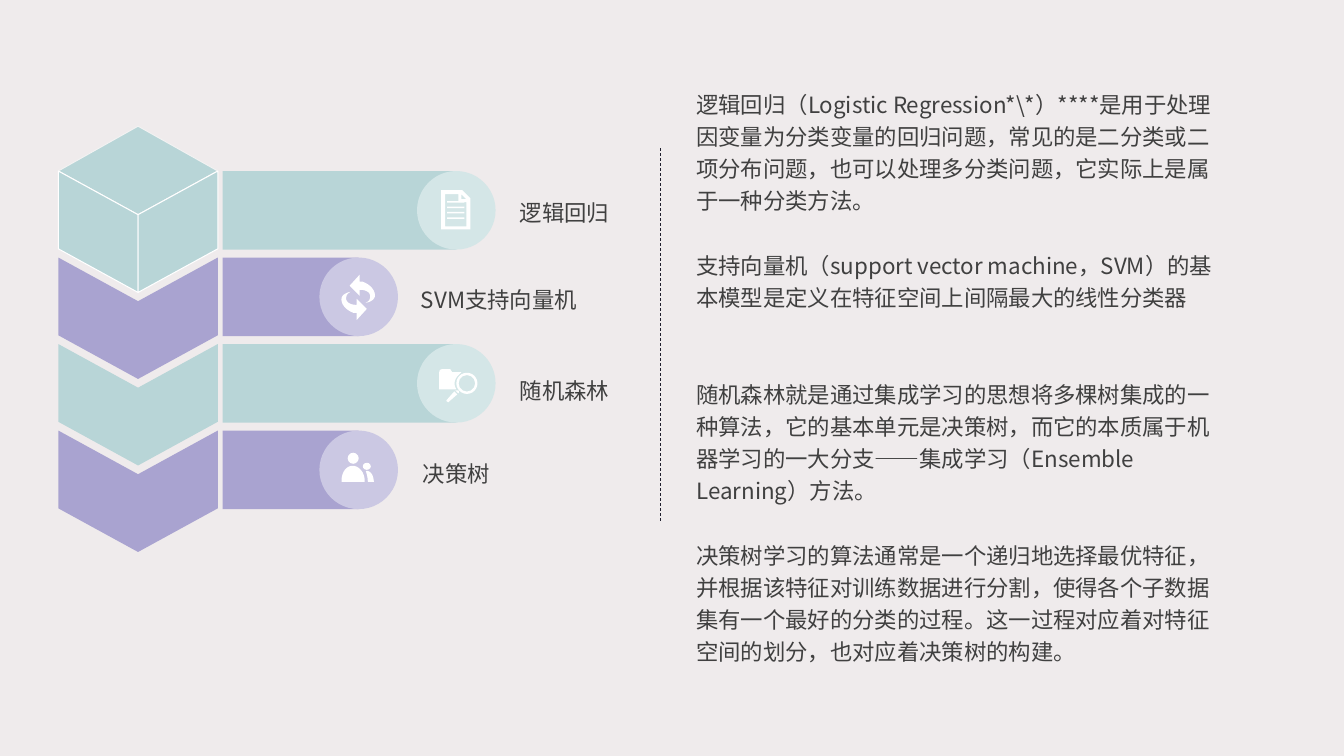
import lxml.etree
import pptx
import pptx.dml.color
import pptx.enum.dml
import pptx.enum.shapes
import pptx.enum.text
import pptx.oxml.ns
import pptx.util

Cm = pptx.util.Cm
Pt = pptx.util.Pt
SHAPES = pptx.enum.shapes.MSO_SHAPE

FONT = "Noto Sans CJK SC"
COLORS = {
    "background": "EFEBEC", "teal": "B8D5D7", "pale teal": "D4E6E7",
    "violet": "A9A3D0", "pale violet": "CBC8E3", "white": "FFFFFF",
    "edge": "F2F2F2", "text": "404040", "divider": "20202E",
}
ROWS = [
    ("逻辑回归", "teal", 5.89, "document", (12.85, 4.75, 2.77)),
    ("SVM支持向量机", "violet", 3.43, "refresh", (10.36, 6.96, 4.6)),
    ("随机森林", "teal", 5.89, "search", (12.85, 9.25, 2.77)),
    ("决策树", "violet", 3.43, "people", (10.41, 11.33, 2.21)),
]
PARAGRAPHS = [
    ("逻辑回归（Logistic Regression*\\*）****是用于处理因变量为分类变量的回归问题，常见的是二分类或二项分布问题，也可以处理多分类问题，它实际上是属于一种分类方法。", 0),
    ("支持向量机（support vector machine，SVM）的基本模型是定义在特征空间上间隔最大的线性分类器", 23),
    ("随机森林就是通过集成学习的思想将多棵树集成的一种算法，它的基本单元是决策树，而它的本质属于机器学习的一大分支——集成学习（Ensemble Learning）方法。", 46),
    ("决策树学习的算法通常是一个递归地选择最优特征，并根据该特征对训练数据进行分割，使得各个子数据集有一个最好的分类的过程。这一过程对应着对特征空间的划分，也对应着决策树的构建。", 23),
]
REFRESH_ARROW = [
    (4, -15), (1, -15), (1, -22), (-9, -11), (1, -1), (1, -7),
    (9, -7, 13, -3, 11, 2), (11, 3, 9, 5, 7, 6),
    (12, 5, 15, 3, 16, 0), (17, -6, 12, -12, 4, -15),
]
TURNED_ARROW = [
    tuple((1 if index % 2 else -1) - value for index, value in enumerate(step))
    for step in REFRESH_ARROW
]
ICON_OUTLINES = {
    "document": [[
        [(14, -12), (6, -20), (-15, -20), (-15, 19), (14, 19)],
        [(10, -11), (5, -11), (5, -16)],
        [(10, 16), (-11, 16), (-11, -16), (2, -16), (2, -8), (10, -8)],
    ]],
    "refresh": [[REFRESH_ARROW], [TURNED_ARROW]],
    "search": [
        [[(2, -8), (3, -9, 4, -10, 5, -11), (-4, -11), (-6, -14), (-13, -14),
          (-15, -14, -17, -14, -17, -10), (-17, 6), (0, 6), (-3, 1, -2, -4, 2, -8)]],
        [[(2, 7), (-1, 7), (2, 10), (3, 9, 3, 8, 2, 7)],
         [(-9, 16), (-10, 17, -10, 18, -9, 18), (-9, 19, -7, 19, -7, 18),
          (1, 11), (-2, 8)]],
    ],
    "people": [
        [[(-6, -4), (-12, -4, -17, 2, -17, 11), (-17, 12), (6, 12), (6, 11),
          (6, 2, 0, -4, -6, -4)]],
        [[(8, 1), (7, 1), (8, 4, 9, 8, 9, 11), (9, 12), (15, 12),
          (15, 6, 12, 1, 8, 1)]],
    ],
}
ICON_PRESETS = {
    "document": [(SHAPES.RECTANGLE, -9, -9 + 5.33 * line, 17, 1.5) for line in range(4)],
    "refresh": [],
    "search": [(SHAPES.DONUT, 0, -10.5, 21, 21)],
    "people": [(SHAPES.OVAL, -11, -17, 11, 11), (SHAPES.OVAL, 4, -7, 8, 7)],
}
ICON_UNIT = 2.54 / 100
ROW_TOP, ROW_PITCH, BAR_LEFT, BAR_HEIGHT = 4.31, 2.18, 5.61, 1.98
CUBE_LEFT, CUBE_MIDDLE, CUBE_RIGHT = 1.47, 3.48, 5.49
CUBE_PEAK, CUBE_DROP, FACE_HEIGHT = 3.18, 1.1, 1.96


def rgb(name):
    return pptx.dml.color.RGBColor.from_string(COLORS[name])


def paint(shape, fill, line=None):
    shape.shadow.inherit = False
    shape.fill.solid()
    shape.fill.fore_color.rgb = rgb(fill)
    if line:
        shape.line.color.rgb = rgb(line)
        shape.line.width = Pt(0.75)
    else:
        shape.line.fill.background()


def add_preset(slide, kind, left, top, width, height, fill):
    shape = slide.shapes.add_shape(kind, Cm(left), Cm(top), Cm(width), Cm(height))
    paint(shape, fill)
    return shape


def flatten(contour):
    points = [contour[0]]
    for step in contour[1:]:
        if len(step) == 2:
            points.append(step)
            continue
        controls = [points[-1], step[:2], step[2:4], step[4:]]
        for part in range(1, 9):
            t = part / 8
            weights = ((1 - t) ** 3, 3 * t * (1 - t) ** 2, 3 * t * t * (1 - t), t ** 3)
            points.append(tuple(
                sum(weight * control[axis] for weight, control in zip(weights, controls))
                for axis in (0, 1)))
    return points


def add_outline(slide, contours, fill, line=None, center=(0, 0), unit=1):
    builder = None
    for contour in contours:
        points = [(Cm(center[0] + x * unit), Cm(center[1] + y * unit))
                  for x, y in flatten(contour)]
        if builder is None:
            builder = slide.shapes.build_freeform(*points[0])
        else:
            builder.move_to(*points[0])
        builder.add_line_segments(points[1:], close=True)
    paint(builder.convert_to_shape(), fill, line)


def add_text(slide, box, paragraphs, wrap):
    frame = slide.shapes.add_textbox(*map(Cm, box)).text_frame
    frame.word_wrap = wrap
    frame.auto_size = pptx.enum.text.MSO_AUTO_SIZE.SHAPE_TO_FIT_TEXT
    if wrap:
        frame.margin_left = 0
    frame.text = "\n".join(text for text, gap in paragraphs)
    for paragraph, (text, gap) in zip(frame.paragraphs, paragraphs):
        paragraph.line_spacing = 1.2
        paragraph.space_before = Pt(gap)
        for run in paragraph.runs:
            run.font.size = Pt(16)
            run.font.color.rgb = rgb("text")
            run.font.name = FONT
            east_asian = lxml.etree.SubElement(
                run._r.get_or_add_rPr(), pptx.oxml.ns.qn("a:ea"))
            east_asian.set("typeface", FONT)


def add_icon(slide, icon, center):
    for contours in ICON_OUTLINES[icon]:
        add_outline(slide, contours, "white", center=center, unit=ICON_UNIT)
    for kind, left, top, width, height in ICON_PRESETS[icon]:
        shape = add_preset(
            slide, kind, center[0] + left * ICON_UNIT, center[1] + top * ICON_UNIT,
            width * ICON_UNIT, height * ICON_UNIT, "white")
        if kind == SHAPES.DONUT:
            shape.adjustments[0] = 0.11


def add_row(slide, index, row):
    label, color, bar_width, icon, (label_left, label_top, label_width) = row
    top = ROW_TOP + index * ROW_PITCH
    edge = "white" if index == 0 else None
    for side in (CUBE_LEFT, CUBE_RIGHT):
        face = [(side, top), (side, top + FACE_HEIGHT),
                (CUBE_MIDDLE, top + CUBE_DROP + FACE_HEIGHT),
                (CUBE_MIDDLE, top + CUBE_DROP)]
        add_outline(slide, [face], color, edge)
    add_preset(slide, SHAPES.RECTANGLE, BAR_LEFT, top, bar_width, BAR_HEIGHT, color)
    center = (BAR_LEFT + bar_width, top + BAR_HEIGHT / 2)
    add_preset(slide, SHAPES.OVAL, center[0] - BAR_HEIGHT / 2, top,
               BAR_HEIGHT, BAR_HEIGHT, "pale " + color)
    add_icon(slide, icon, center)
    add_text(slide, (label_left, label_top, label_width, 1.07), [(label, 0)], False)


def add_divider(slide):
    divider = slide.shapes.add_connector(
        pptx.enum.shapes.MSO_CONNECTOR.STRAIGHT, Cm(16.64), Cm(3.73), Cm(16.64), Cm(13.16))
    divider.line.color.rgb = rgb("divider")
    divider.line.width = Pt(0.5)
    divider.line.dash_style = pptx.enum.dml.MSO_LINE.DASH
    lxml.etree.SubElement(divider._element.spPr, pptx.oxml.ns.qn("a:effectLst"))


def main():
    """Build the slide on four machine learning classifiers."""
    presentation = pptx.Presentation()
    presentation.slide_width, presentation.slide_height = Cm(33.87), Cm(19.05)
    slide = presentation.slides.add_slide(presentation.slide_layouts[6])
    slide.background.fill.solid()
    slide.background.fill.fore_color.rgb = rgb("background")
    lid = [(CUBE_LEFT, ROW_TOP), (CUBE_MIDDLE, ROW_TOP + CUBE_DROP),
           (CUBE_RIGHT, ROW_TOP), (CUBE_MIDDLE, CUBE_PEAK)]
    add_outline(slide, [lid], "teal", "edge")
    for index, row in enumerate(ROWS):
        add_row(slide, index, row)
    add_text(slide, (17.55, 2.03, 13.59, 15.01), PARAGRAPHS, True)
    add_divider(slide)
    presentation.save("out.pptx")


if __name__ == "__main__":
    main()
